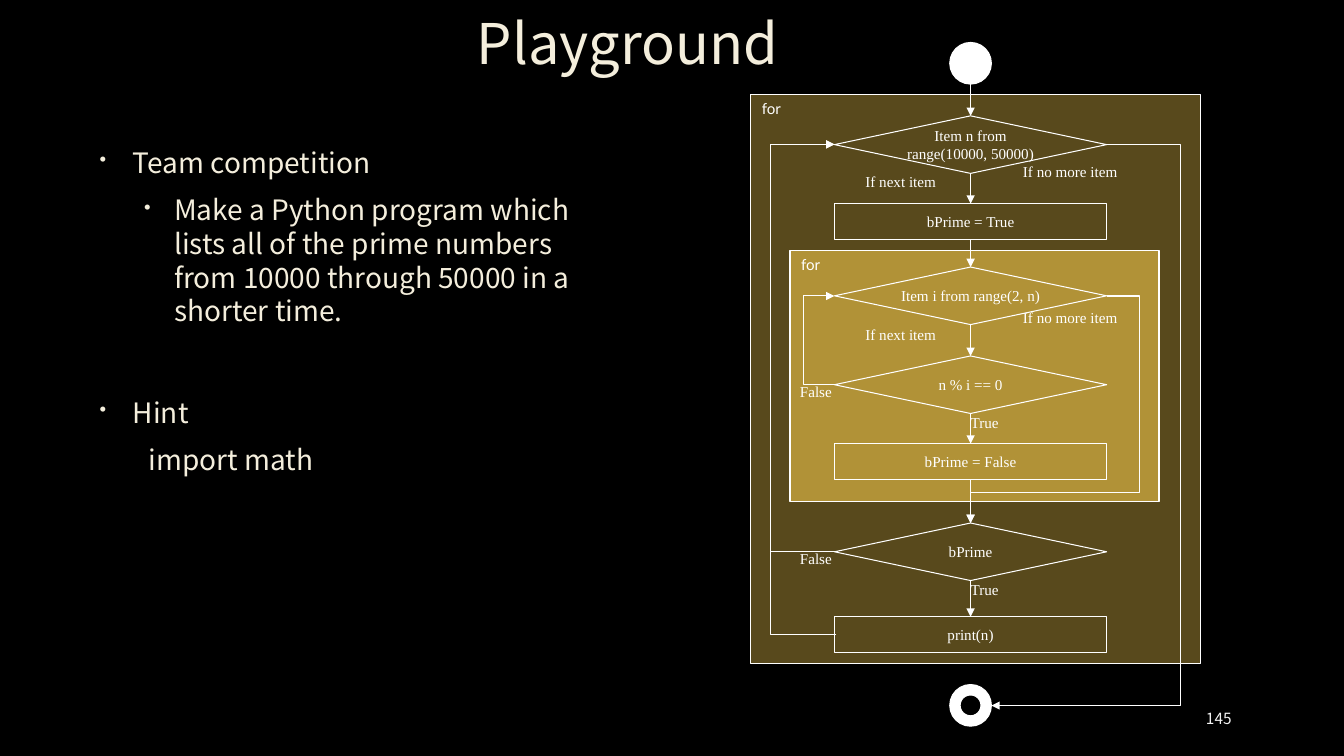
from lxml.etree import SubElement
from pptx import Presentation
from pptx.dml.color import RGBColor
from pptx.enum.shapes import MSO_CONNECTOR, MSO_SHAPE
from pptx.enum.text import MSO_ANCHOR, PP_ALIGN
from pptx.oxml.ns import qn
from pptx.util import Cm, Pt

HUES = {"back": "000000", "cream": "F4EEDC", "white": "FFFFFF",
        "outer": "58491C", "inner": "B19237", "page": "F2F2F2"}
SANS, SERIF = "Noto Sans CJK KR", "Times New Roman"


def write(shape, text, size, face, hue, align=PP_ALIGN.LEFT, wrap=True):
    frame = shape.text_frame
    frame.text = text
    frame.word_wrap = wrap
    for para in frame.paragraphs:
        para.alignment = align
        for run in para.runs:
            run.font.size = Pt(size)
            run.font.name = face
            run.font.color.rgb = RGBColor.from_string(HUES[hue])
    return frame


def link(start, end, kind=MSO_CONNECTOR.STRAIGHT, preset=None, bends=()):
    line = slide.shapes.add_connector(kind, *map(Cm, start + end))
    line.line.color.rgb = RGBColor.from_string(HUES["white"])
    line.line.width = Pt(0.75)
    props = line._element.spPr
    SubElement(props.find(qn("a:ln")), qn("a:tailEnd"), type="triangle")
    SubElement(props, qn("a:effectLst"))
    if preset:
        shape = props.find(qn("a:prstGeom"))
        shape.set("prst", preset)
        guides = shape.find(qn("a:avLst"))
        for num, bend in enumerate(bends, 1):
            SubElement(guides, qn("a:gd"), name=f"adj{num}", fmla=f"val {round(bend * 100000)}")


deck = Presentation()
deck.slide_width, deck.slide_height = Cm(33.87), Cm(19.05)
slide = deck.slides.add_slide(deck.slide_layouts[5])
slide.background.fill.solid()
slide.background.fill.fore_color.rgb = RGBColor.from_string(HUES["back"])

title = slide.shapes.title
title.left, title.top, title.width, title.height = Cm(2.29), Cm(0.1), Cm(27.05), Cm(2.16)
frame = write(title, "Playground", 40, SANS, "cream", PP_ALIGN.CENTER)
frame.vertical_anchor = MSO_ANCHOR.MIDDLE
frame.paragraphs[0].line_spacing = 0.9

points = [
    ("Team competition", 0, 0.97, -0.84, 1.1, 0),
    ("Make a Python program which lists all of the prime numbers "
     "from 10000 through 50000 in a shorter time.", 1, 2.01, -0.76, 1.0, 4),
    ("Hint", 0, 0.97, -0.84, 1.1, 40),
    ("import math", 1, 1.37, 0, 1.0, 4),
]
body = slide.shapes.add_textbox(Cm(2.13), Cm(3.45), Cm(13.49), Cm(10.06))
frame = write(body, "\n".join(point[0] for point in points), 20, SANS, "cream")
for para, (text, level, left, hang, pitch, gap) in zip(frame.paragraphs, points):
    para.level = level
    props = para._p.get_or_add_pPr()
    props.set("marL", str(Cm(left)))
    props.set("indent", str(Cm(hang)))
    if hang:
        tint = SubElement(props, qn("a:buClr"))
        SubElement(tint, qn("a:srgbClr"), val=HUES["cream"])
        SubElement(props, qn("a:buSzPct"), val="70000")
        SubElement(props, qn("a:buChar"), char="•")
    para.line_spacing = pitch
    para.space_before = Pt(gap)
    para.space_after = Pt(6)

page = slide.shapes.add_textbox(Cm(29.21), Cm(17.6), Cm(2.08), Cm(1.02))
frame = write(page, "145", 11, SANS, "page", PP_ALIGN.RIGHT)
frame.vertical_anchor = MSO_ANCHOR.MIDDLE

MID, LEFT, WIDE = 24.46, 21.03, 6.86
RIGHT = LEFT + WIDE
RHOMB, BOX, DOT = 1.45, 0.9, 1.05
DIAMOND, RECT = MSO_SHAPE.DIAMOND, MSO_SHAPE.RECTANGLE

nodes = [
    (RECT, 18.92, 2.39, 11.33, 14.33, "outer", "for"),
    (RECT, 19.91, 6.32, 9.3, 6.32, "inner", "for"),
    (MSO_SHAPE.OVAL, MID - DOT / 2, 1.07, DOT, DOT, "white", ""),
    (MSO_SHAPE.DONUT, MID - DOT / 2, 17.25, DOT, DOT, "white", ""),
]
steps = [
    (DIAMOND, 2.92, "Item n from\nrange(10000, 50000)"),
    (RECT, 5.13, "bPrime = True"),
    (DIAMOND, 6.73, "Item i from range(2, n)"),
    (DIAMOND, 8.97, "n % i == 0"),
    (RECT, 11.18, "bPrime = False"),
    (DIAMOND, 13.18, "bPrime"),
    (RECT, 15.54, "print(n)"),
]
for kind, top, text in steps:
    nodes.append((kind, LEFT, top, WIDE, RHOMB if kind == DIAMOND else BOX, None, text))

for kind, left, top, wide, high, hue, text in nodes:
    node = slide.shapes.add_shape(kind, Cm(left), Cm(top), Cm(wide), Cm(high))
    node.shadow.inherit = False
    node.line.color.rgb = RGBColor.from_string(HUES["white"])
    node.line.width = Pt(0.75)
    if hue:
        node.fill.solid()
        node.fill.fore_color.rgb = RGBColor.from_string(HUES[hue])
    else:
        node.fill.background()
    if text == "for":
        frame = write(node, text, 10.8, "Lato", "white", wrap=False)
        frame.vertical_anchor = MSO_ANCHOR.TOP
        frame.margin_left = frame.margin_right = Cm(0.28)
    elif text:
        frame = write(node, text, 10.8, SERIF, "white", PP_ALIGN.CENTER, False)
        frame.vertical_anchor = MSO_ANCHOR.MIDDLE
        frame.margin_left = frame.margin_right = 0
        frame.margin_top = frame.margin_bottom = 0

labels = [
    ("If next item", 21.56, 5.54, (4.22, 8.08)),
    ("If no more item", 25.53, 6.07, (3.96, 7.65)),
    ("True", 24.21, 2.64, (10.29, 14.5)),
    ("False", 19.91, 2.64, (9.5, 13.72)),
]
for text, left, wide, tops in labels:
    for top in tops:
        label = slide.shapes.add_textbox(Cm(left), Cm(top), Cm(wide), Cm(0.86))
        write(label, text, 10.8, SERIF, "white")

foot = 1.07 + DOT
for kind, top, text in steps:
    link((MID, foot), (MID, top))
    foot = top + (RHOMB if kind == DIAMOND else BOX)

ELBOW = MSO_CONNECTOR.ELBOW
START = LEFT + 0.05
for low, high, side in [(9.69, 7.46, 20.24), (16, 3.64, 19.41), (13.9, 3.64, 19.41)]:
    link((START, low), (LEFT, high), ELBOW, "bentConnector3", [(START - side) / 0.05])

edge = MID + DOT / 2
link((RIGHT, 3.64), (edge, 17.78), ELBOW, "bentConnector3", [(RIGHT - 29.74) / (RIGHT - edge)])
link((RIGHT, 7.46), (MID, 13.18), ELBOW, "bentConnector4",
     [(RIGHT - 28.73) / (RIGHT - MID), (12.42 - 7.46) / (13.18 - 7.46)])

deck.save("out.pptx")
